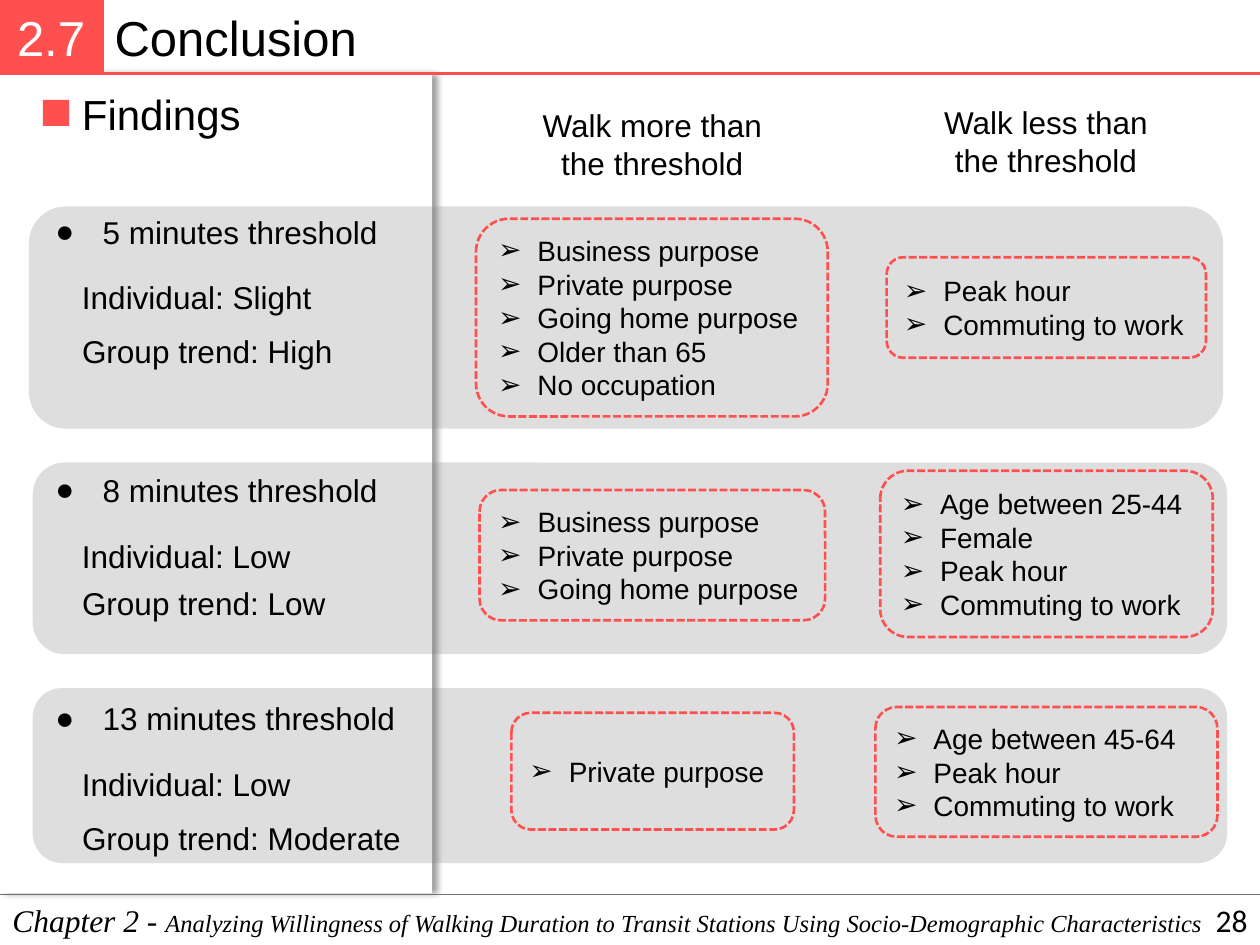
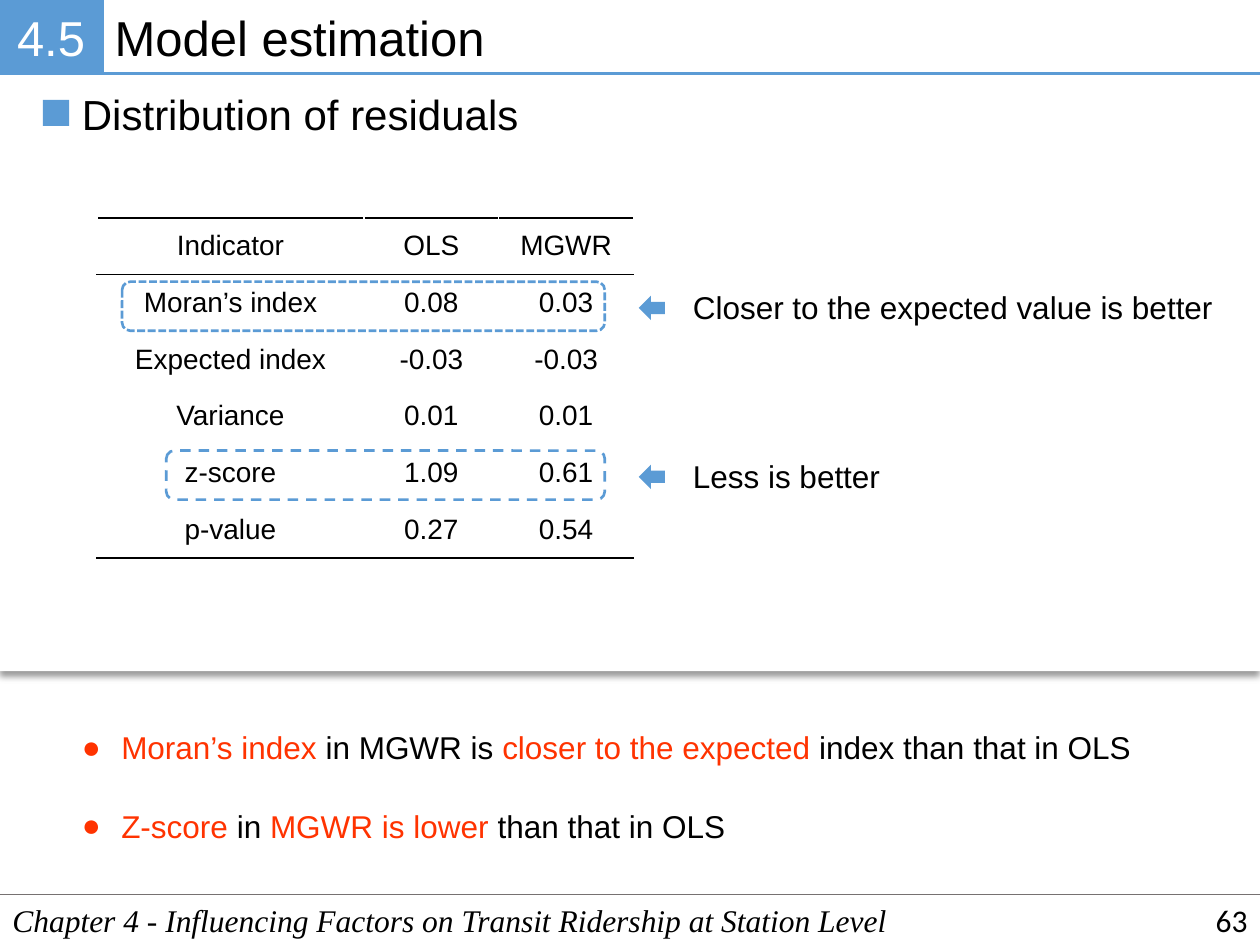
from dataclasses import dataclass

from lxml import etree
from pptx import Presentation
from pptx.dml.color import RGBColor
from pptx.enum.dml import MSO_LINE
from pptx.enum.shapes import MSO_CONNECTOR, MSO_SHAPE
from pptx.enum.text import MSO_ANCHOR, MSO_AUTO_SIZE, PP_ALIGN
from pptx.oxml.ns import qn
from pptx.util import Pt

RECT, ROUND = MSO_SHAPE.RECTANGLE, MSO_SHAPE.ROUNDED_RECTANGLE
ARROW = MSO_SHAPE.LEFT_ARROW
LINE = MSO_CONNECTOR.STRAIGHT
FINE, DASH = MSO_LINE.SQUARE_DOT, MSO_LINE.DASH
LEFT, MID, RIGHT = PP_ALIGN.LEFT, PP_ALIGN.CENTER, PP_ALIGN.RIGHT
TOP, CENTER = MSO_ANCHOR.TOP, MSO_ANCHOR.MIDDLE
FIXED = MSO_AUTO_SIZE.NONE
WIDE, HIGH = 720, 540
HEAD, FOOT = 42, 511.2  # heights of the title rule and the footer rule


@dataclass(frozen=True)
class Theme:
    red: str = "FF5050"
    blue: str = "5B9BD5"
    key: str = "FF3300"
    ink: str = "000000"
    paper: str = "FFFFFF"
    gray: str = "7F7F7F"
    rule: str = "767171"
    sans: str = "Arial"
    serif: str = "Times New Roman"
    plain: str = "Calibri"
    title: int = 28
    topic: int = 24
    text: int = 18
    item: int = 16
    small: int = 14


THEME = Theme()


def rgb(code):
    return RGBColor.from_string(code)


def add(node, tag, **attrs):
    return etree.SubElement(node, qn(tag), {k: str(v) for k, v in attrs.items()})


def put(frame, text, size=THEME.text, font=THEME.sans, color=THEME.ink, italic=False,
        align=LEFT, anchor=TOP, mark=None, hang=0, gap=0):
    """Fill a frame; text is a list of paragraphs, each a string or a list of
    (text, format) runs, where format may hold size and color."""
    frame.word_wrap = True
    frame.auto_size = FIXED
    frame.vertical_anchor = anchor
    for i, runs in enumerate(text):
        para = frame.paragraphs[0] if i == 0 else frame.add_paragraph()
        props = para._p.get_or_add_pPr()
        props.set("marL", str(Pt(hang)))
        props.set("indent", str(-Pt(hang)))
        if mark:
            add(props, "a:buFont", typeface=THEME.sans)
            add(props, "a:buChar", char=mark)
        else:
            add(props, "a:buNone")
        para.alignment = align
        para.line_spacing = 1.0
        para.space_before = Pt(gap if i else 0)
        for words, form in [(runs, {})] if isinstance(runs, str) else runs:
            run = para.add_run()
            run.text = words
            run.font.name = font
            run.font.size = Pt(form.get("size", size))
            run.font.italic = italic
            run.font.color.rgb = rgb(form.get("color", color))


class Deck:
    """Holds the style and the slide being drawn."""

    def __init__(self, theme):
        self.theme = theme
        self.show = Presentation()
        self.show.slide_width, self.show.slide_height = Pt(WIDE), Pt(HIGH)

    def start(self, layout, accent, number, title, topic, chapter, page):
        """Open a slide and draw the parts that all slides share."""
        t = self.theme
        self.accent = accent
        self.slide = self.show.slides.add_slide(self.show.slide_layouts[layout])
        self.shapes = self.slide.shapes
        self.fill(0, (58.3, 0.7, 661.7, 41), [title], size=t.title)
        self.fill(1, (39.6, 46.8, 600, 36), [topic], size=t.topic)
        badge = self.shape(RECT, (0, 0, 58.3, HEAD), accent, accent, 2.25)
        frame = badge.text_frame
        frame.margin_left = frame.margin_right = Pt(4)
        put(frame, [number], size=t.title, color=t.paper, align=MID, anchor=CENTER)
        self.line(58.3, HEAD, accent, 2.25)
        self.shape(RECT, (24.5, 57, 15, 15), accent)
        self.line(0, FOOT, t.rule, 1)
        self.text((0, FOOT, WIDE, 28.8), [chapter], font=t.serif, italic=True)
        self.text((558, FOOT, 162, 28.8), [page], font=t.plain, align=RIGHT, anchor=CENTER)

    def fill(self, index, box, text, **form):
        """Place and fill one of the layout's placeholders."""
        holder = self.slide.placeholders[index]
        holder.left, holder.top, holder.width, holder.height = map(Pt, box)
        put(holder.text_frame, text, **form)

    def text(self, box, text, **form):
        put(self.shapes.add_textbox(*map(Pt, box)).text_frame, text, **form)

    def shape(self, kind, box, fill=None, edge=None, width=1.5, dash=None, alpha=None):
        item = self.shapes.add_shape(kind, *map(Pt, box))
        item.shadow.inherit = False
        if fill:
            item.fill.solid()
            item.fill.fore_color.rgb = rgb(fill)
        else:
            item.fill.background()
        if alpha:
            tint = item._element.spPr.find(".//" + qn("a:srgbClr"))
            add(tint, "a:alpha", val=alpha * 1000)
        if edge:
            item.line.color.rgb = rgb(edge)
            item.line.width = Pt(width)
            item.line.dash_style = dash
        else:
            item.line.fill.background()
        return item

    def panel(self, box, angle):
        """Draw a white panel behind everything, with its shadow cast at an angle."""
        node = self.shape(RECT, box, self.theme.paper)._element
        cast = add(node.spPr.find(qn("a:effectLst")), "a:outerShdw", blurRad=Pt(4),
                   dist=Pt(3), dir=angle * 60000, algn="t", rotWithShape=0)
        add(add(cast, "a:srgbClr", val=self.theme.ink), "a:alpha", val=40000)
        tree = self.shapes._spTree
        tree.remove(node)
        tree.insert(2, node)

    def line(self, left, top, color, width):
        """Rule from left to the right slide edge."""
        rule = self.shapes.add_connector(LINE, Pt(left), Pt(top), Pt(WIDE), Pt(top))
        rule.line.color.rgb = rgb(color)
        rule.line.width = Pt(width)
        add(rule._element.spPr, "a:effectLst")

    def ring(self, box, items=(), dash=FINE):
        """Dashed outline, with an arrowed list if items are given."""
        item = self.shape(ROUND, box, edge=self.accent, dash=dash)
        if items:
            put(item.text_frame, items, size=self.theme.item, mark="➢", hang=22.5,
                anchor=CENTER)

    def table(self, left, top, widths, height, rows):
        frame = self.shapes.add_table(len(rows), len(widths), Pt(left), Pt(top),
                                      Pt(sum(widths)), Pt(height * len(rows)))
        grid = frame.table
        grid.first_row = grid.horz_banding = False
        for col, width in zip(grid.columns, widths):
            col.width = Pt(width)
        edges = {0: {"a:lnT": 1.5, "a:lnB": 1}, 1: {"a:lnT": 1},
                 len(rows) - 1: {"a:lnB": 1.5}}
        for r, row in enumerate(rows):
            grid.rows[r].height = Pt(height)
            for c, value in enumerate(row):
                cell = grid.cell(r, c)
                cell.margin_top = cell.margin_bottom = 0
                put(cell.text_frame, [value], size=self.theme.item, align=MID)
                cell.vertical_anchor = CENTER
                for side, width in edges.get(r, {}).items():
                    self.edge(cell, side, width)
                cell.fill.background()

    def edge(self, cell, side, width):
        line = add(cell._tc.get_or_add_tcPr(), side, w=Pt(width))
        add(add(line, "a:solidFill"), "a:srgbClr", val=self.theme.ink)


def findings(deck):
    t = deck.theme
    chapter = [("Chapter 2 - ", {}),
               ("Analyzing Willingness of Walking Duration to Transit Stations Using "
                "Socio-Demographic Characteristics", {"size": t.small})]
    deck.start(1, t.red, "2.7", "Conclusion", "Findings", chapter, "28")
    deck.panel((0, 42.5, 247, 468), 0)
    deck.text((291, 57, 163.5, 51), ["Walk more than the threshold"], align=MID)
    deck.text((522.7, 55.5, 150, 51), ["Walk less than the threshold"], align=MID)

    work, peak = "Commuting to work", "Peak hour"
    own, trade, home = "Private purpose", "Business purpose", "Going home purpose"
    # minutes, levels, band, label top and gap, then box and items for more and less
    bands = [
        ("5", "Slight", "High", (16.5, 118, 682.5, 127), 118, 30.5,
         (272, 125, 201, 113), [trade, own, home, "Older than 65", "No occupation"],
         (506.7, 147, 182.5, 57.5), [peak, work]),
        ("8", "Low", "Low", (18.7, 264.3, 682.5, 109.5), 265.7, 27,
         (274, 280, 197.5, 74.5), [trade, own, home],
         (503, 269, 190, 95), ["Age between 25-44", "Female", peak, work]),
        ("13", "Low", "Moderate", (18.7, 393.2, 682.5, 100), 396, 31,
         (292.2, 407.3, 161.5, 66.7), [own],
         (500.2, 404, 195.5, 74.2), ["Age between 45-64", peak, work]),
    ]
    for time, single, group, band, top, gap, more, gains, less, drops in bands:
        deck.shape(ROUND, band, t.gray, alpha=25)
        deck.text((24.5, top, 214, 29), [f"{time} minutes threshold"], mark="●", hang=27)
        deck.text((39.8, top + 37.5, 200, 29), [f"Individual: {single}"])
        deck.text((39.8, top + 37.5 + gap, 204, 29), [f"Group trend: {group}"])
        deck.ring(more, gains)
        deck.ring(less, drops)


def residuals(deck):
    t = deck.theme
    deck.start(3, t.blue, "4.5", "Model estimation", "Distribution of residuals",
               "Chapter 4 - Influencing Factors on Transit Ridership at Station Level", "63")
    deck.panel((0, 42.5, WIDE, 341), 90)
    deck.table(55.4, 124.5, (152.6, 77, 77), 32.4, [
        ("Indicator", "OLS", "MGWR"),
        ("Moran’s index", "0.08", "0.03"),
        ("Expected index", "-0.03", "-0.03"),
        ("Variance", "0.01", "0.01"),
        ("z-score", "1.09", "0.61"),
        ("p-value", "0.27", "0.54"),
    ])
    notes = [(161, 69.8, FINE, "Closer to the expected value is better"),
             (257.5, 95, DASH, "Less is better")]
    for top, left, dash, note in notes:
        deck.ring((left, top, 345.6 - left, 28), dash=dash)
        deck.shape(ARROW, (365, top + 8, 15, 14), t.blue)
        deck.text((388.8, top, 325, 29), [note])
    key = {"color": t.key}
    deck.fill(2, (39.6, 412.6, 640, 76), [
        [("Moran’s index", key), (" in MGWR is ", {}), ("closer to the expected", key),
         (" index than that in OLS", {})],
        [("Z-score", key), (" in ", {}), ("MGWR is lower", key), (" than that in OLS", {})],
    ], mark="●", hang=22.5, gap=23.2)


def main():
    deck = Deck(THEME)
    findings(deck)
    residuals(deck)
    deck.show.save("out.pptx")


if __name__ == "__main__":
    main()
